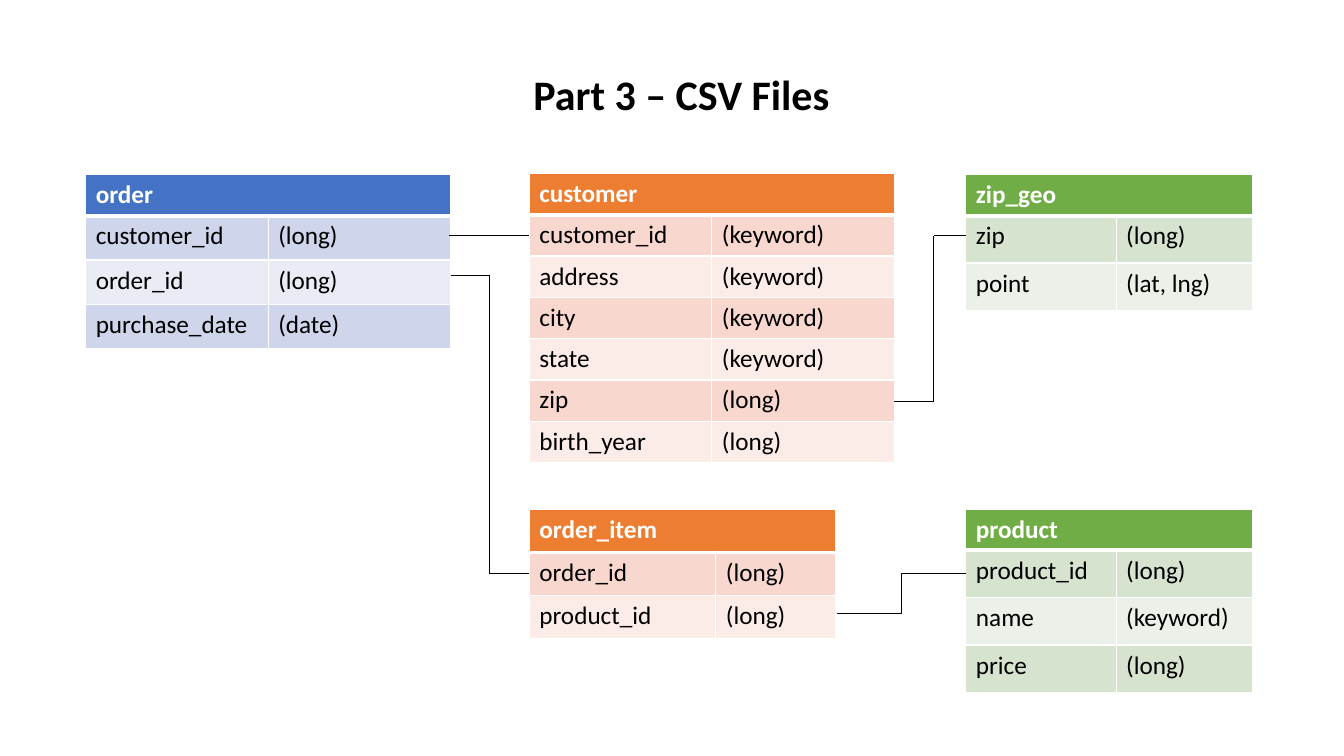
import pptx
import pptx.util
import pptx.dml.color
import pptx.enum.shapes
import pptx.enum.text
import pptx.oxml
import pptx.oxml.ns

Inches = pptx.util.Inches
Pt = pptx.util.Pt
RGB = pptx.dml.color.RGBColor
LINK = pptx.enum.shapes.MSO_CONNECTOR
TEXT = pptx.enum.text

BLACK = RGB(0, 0, 0)
WHITE = RGB(255, 255, 255)
BLUE = [RGB(0x44, 0x72, 0xC4), RGB(0xCF, 0xD5, 0xEA), RGB(0xE9, 0xEB, 0xF5)]
ORANGE = [RGB(0xED, 0x7D, 0x31), RGB(0xF8, 0xD7, 0xCE), RGB(0xFC, 0xEC, 0xE8)]
GREEN = [RGB(0x70, 0xAD, 0x47), RGB(0xD5, 0xE3, 0xCF), RGB(0xEB, 0xF1, 0xE9)]

HEAD = {"name": "Calibri", "size": Pt(18), "bold": True}
BODY = {"name": "Calibri", "size": Pt(18), "bold": False}
TITLE = {"name": "Calibri", "size": Pt(30), "bold": True}

TABLES = [
    ("zip_geo", GREEN, (9.58, 1.73), (1.49, 1.35), (0.41, 0.47),
     [("zip", "(long)"), ("point", "(lat, lng)")]),
    ("order_item", ORANGE, (5.25, 5.05), (1.85, 1.19), (0.43, 0.43),
     [("order_id", "(long)"), ("product_id", "(long)")]),
    ("customer", ORANGE, (5.25, 1.72), (1.81, 1.81), (0.41, 0.41),
     [("customer_id", "(keyword)"), ("address", "(keyword)"),
      ("city", "(keyword)"), ("state", "(keyword)"),
      ("zip", "(long)"), ("birth_year", "(long)")]),
    ("order", BLUE, (0.85, 1.73), (1.81, 1.81), (0.41, 0.44),
     [("customer_id", "(long)"), ("order_id", "(long)"),
      ("purchase_date", "(date)")]),
    ("product", GREEN, (9.58, 5.05), (1.49, 1.35), (0.41, 0.47),
     [("product_id", "(long)"), ("name", "(keyword)"), ("price", "(long)")]),
]

ROUTES = [
    [(4.45, 2.34), (5.25, 2.34)],
    [(4.47, 2.73), (4.85, 2.73), (4.85, 5.69), (5.25, 5.69)],
    [(8.87, 3.98), (9.26, 3.98), (9.26, 2.34), (9.58, 2.34)],
]


def style(item, form):
    for key, value in form.items():
        setattr(item, key, value)


def write(frame, text, form, color):
    frame.text = text
    font = frame.paragraphs[0].runs[0].font
    style(font, form)
    font.color.rgb = color


def edge(cell, base):
    props = cell._tc.get_or_add_tcPr()
    for side in "LRTB":
        width = Pt(base if side == "B" else 1)
        props.append(pptx.oxml.parse_xml(
            f'<a:ln{side} {pptx.oxml.ns.nsdecls("a")} w="{width}"><a:solidFill>'
            f'<a:srgbClr val="{WHITE}"/></a:solidFill></a:ln{side}>'))


def paint(cell, color, base):
    edge(cell, base)
    cell.fill.solid()
    cell.fill.fore_color.rgb = color


def add_grid(slide, name, shades, place, widths, heights, fields):
    left, top = map(Inches, place)
    head, step = heights
    tall = head + step * len(fields)
    grid = slide.shapes.add_table(len(fields) + 1, 2, left, top,
                                  Inches(sum(widths)), Inches(tall)).table
    for col, width in zip(grid.columns, widths):
        col.width = Inches(width)
    for num, row in enumerate(grid.rows):
        row.height = Inches(step if num else head)
        shade = shades[2 - num % 2] if num else shades[0]
        for cell in row.cells:
            paint(cell, shade, 1 if num else 3)
    grid.cell(0, 0).merge(grid.cell(0, 1))
    write(grid.cell(0, 0).text_frame, name, HEAD, WHITE)
    for num, field in enumerate(fields, 1):
        for col, text in enumerate(field):
            write(grid.cell(num, col).text_frame, text, BODY, BLACK)


def add_link(slide, start, end, kind=LINK.STRAIGHT):
    link = slide.shapes.add_connector(kind, *map(Inches, start + end))
    link.line.width = Pt(0.5)
    link.line.color.rgb = BLACK
    link._element.spPr.append(pptx.oxml.parse_xml(
        f'<a:effectLst {pptx.oxml.ns.nsdecls("a")}/>'))


def add_title(slide, text):
    title = slide.shapes.title
    style(title, {"left": Inches(5.19), "top": Inches(0.63),
                  "width": Inches(3.17), "height": Inches(0.61)})
    write(title.text_frame, text, TITLE, BLACK)
    style(title.text_frame, {"word_wrap": False,
                             "auto_size": TEXT.MSO_AUTO_SIZE.NONE,
                             "vertical_anchor": TEXT.MSO_ANCHOR.TOP})
    title.text_frame.paragraphs[0].alignment = TEXT.PP_ALIGN.LEFT


def main():
    deck = pptx.Presentation()
    style(deck, {"slide_width": Inches(13.33), "slide_height": Inches(7.5)})
    slide = deck.slides.add_slide(deck.slide_layouts[5])
    for table in TABLES:
        add_grid(slide, *table)
    add_title(slide, "Part 3 – CSV Files")
    for route in ROUTES:
        for start, end in zip(route, route[1:]):
            add_link(slide, start, end)
    add_link(slide, (8.3, 6.09), (9.58, 5.69), LINK.ELBOW)
    deck.save("out.pptx")


main()
